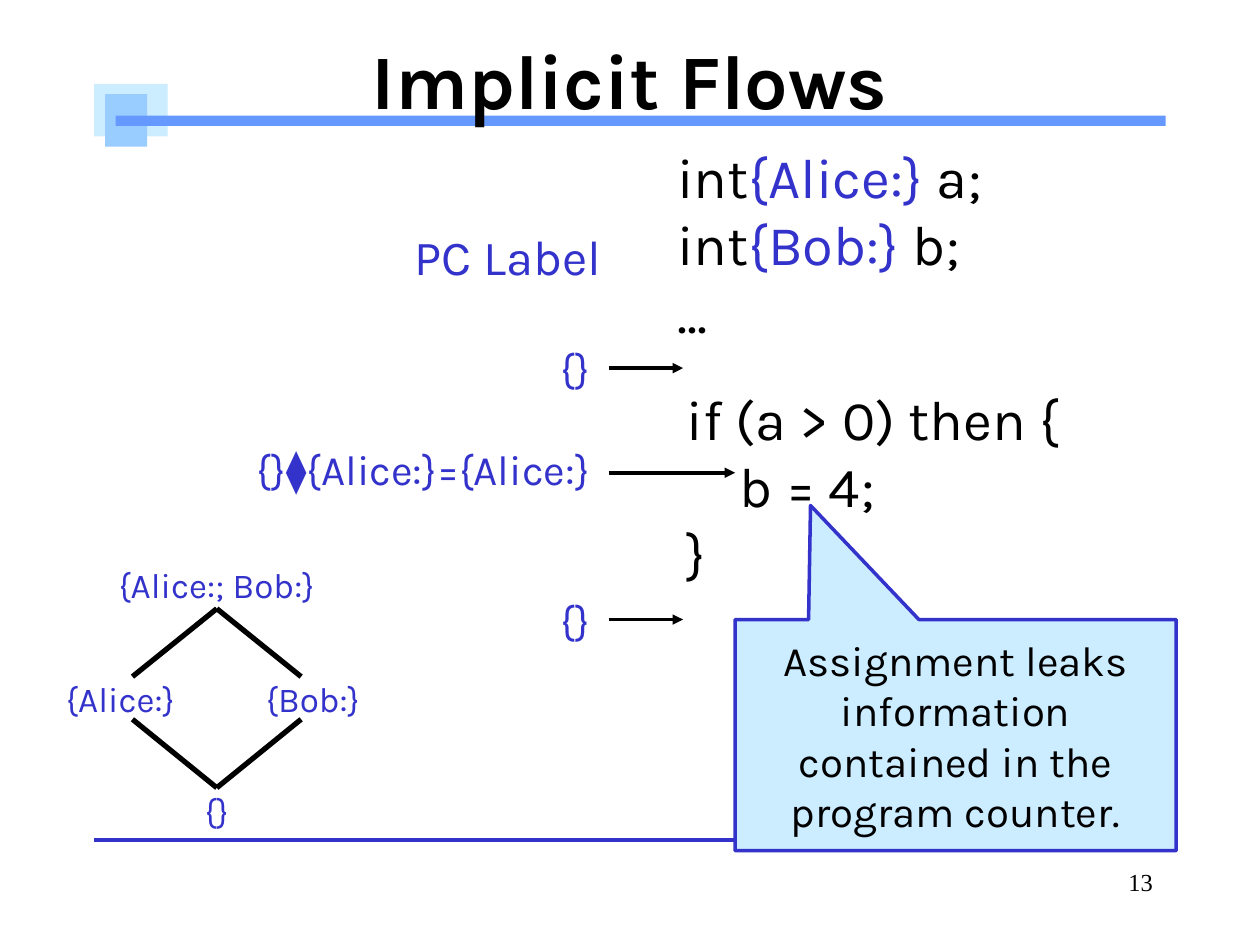
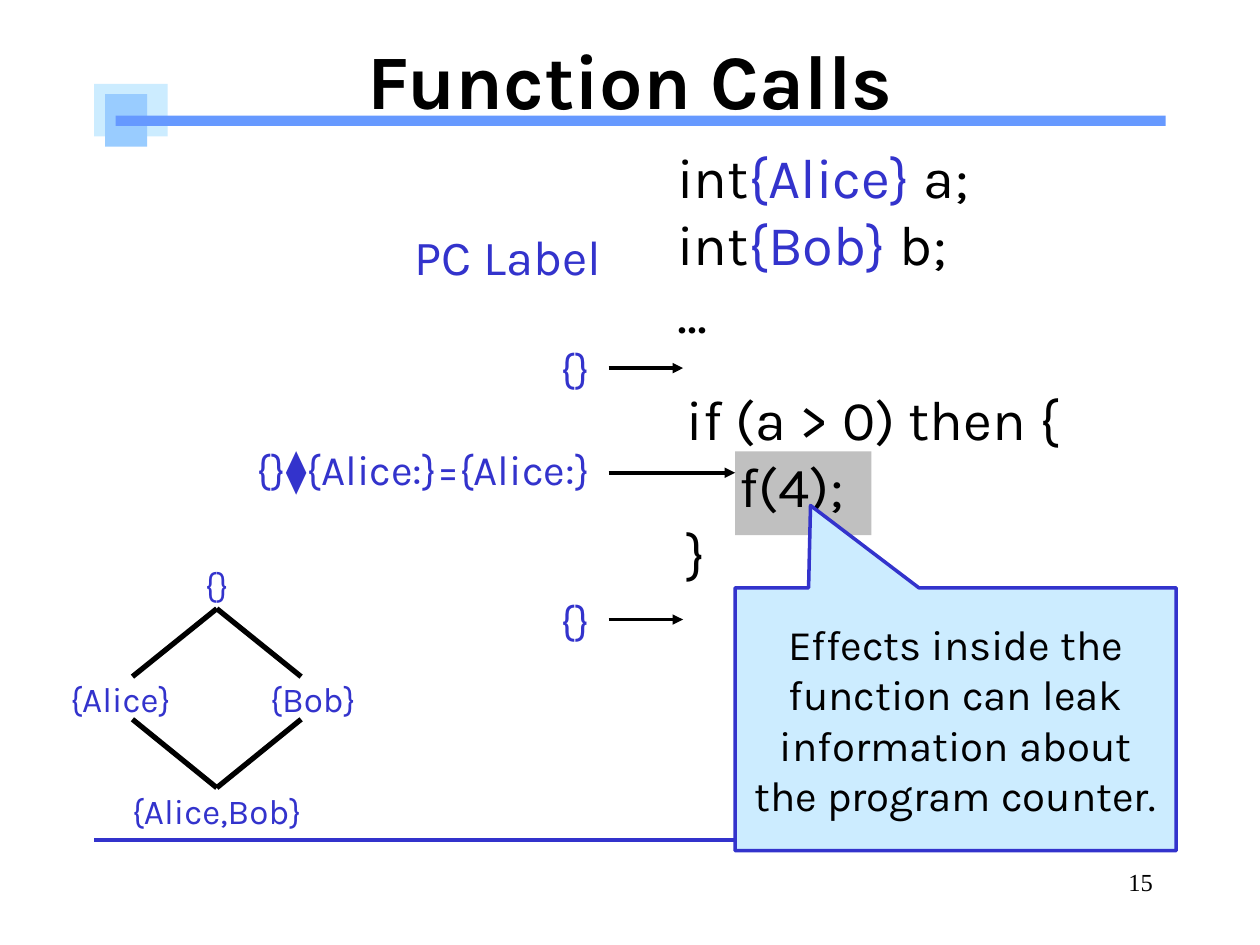
from lxml.etree import SubElement
from pptx import Presentation
from pptx.dml.color import RGBColor
from pptx.enum.shapes import MSO_CONNECTOR, MSO_SHAPE
from pptx.enum.text import MSO_ANCHOR, PP_ALIGN
from pptx.oxml.ns import qn
from pptx.util import Cm, Pt

FONT, SERIF = "Karla", "Times New Roman"
BLACK, LABEL_BLUE, PALE = "000000", "3333CC", "CCECFF"
SKY, BAND, HIGHLIGHT = "99CCFF", "6699FF", "C0C0C0"
TITLE_ONLY = 5


def rgb(value):
    return RGBColor.from_string(value)


def style(font, size, color=BLACK, name=FONT, bold=False):
    font.name, font.size, font.bold = name, Pt(size), bold
    font.color.rgb = rgb(color)


def add_box(slide, kind, box, fill, line=None):
    sp = slide.shapes.add_shape(kind, *map(Cm, box))
    sp.shadow.inherit = False
    sp.fill.solid()
    sp.fill.fore_color.rgb = rgb(fill)
    if line:
        sp.line.color.rgb = rgb(line)
        sp.line.width = Pt(2)
    else:
        sp.line.fill.background()
    return sp


def add_line(slide, start, end, color=BLACK, width=2, arrow=False):
    cxn = slide.shapes.add_connector(MSO_CONNECTOR.STRAIGHT, *map(Cm, start + end))
    cxn.line.color.rgb = rgb(color)
    cxn.line.width = Pt(width)
    if arrow:
        SubElement(cxn.line._get_or_add_ln(), qn("a:tailEnd"), type="triangle")
    SubElement(cxn._element.spPr, qn("a:effectLst"))
    return cxn


def add_text(slide, box, lines, size, color=BLACK, align=PP_ALIGN.LEFT, name=FONT):
    """Add a text box; a line is a string or a list of (text, font overrides)."""
    tf = slide.shapes.add_textbox(*map(Cm, box)).text_frame
    tf.word_wrap = True
    for i, line in enumerate(lines):
        p = tf.add_paragraph() if i else tf.paragraphs[0]
        p.alignment = align
        for text, changes in [(line, {})] if isinstance(line, str) else line:
            r = p.add_run()
            r.text = text
            style(r.font, size, **{"color": color, "name": name, **changes})
    return tf


def set_up_layout(layout, slide):
    """Place the title and move the shared band and rules behind it."""
    title = layout.placeholders[0]
    title.left, title.top, title.width, title.height = map(Cm, (1.9, 0, 21.6, 3.17))
    title.text_frame.vertical_anchor = MSO_ANCHOR.MIDDLE
    decor = [
        add_box(slide, MSO_SHAPE.RECTANGLE, (1.9, 1.69, 1.48, 1.06), PALE),
        add_box(slide, MSO_SHAPE.RECTANGLE, (2.12, 1.9, 0.85, 1.06), SKY),
        add_box(slide, MSO_SHAPE.RECTANGLE, (2.33, 2.33, 21.17, 0.21), BAND),
        add_line(slide, (1.9, 16.93), (23.5, 16.93), LABEL_BLUE),
    ]
    for i, sp in enumerate(decor):
        layout.shapes.element.insert(2 + i, sp._element)


def add_title(slide, text):
    p = slide.shapes.title.text_frame.paragraphs[0]
    p.text = text
    p.alignment = PP_ALIGN.CENTER
    style(p.runs[0].font, 44, bold=True)


def add_code(slide, x, y, labels, statement):
    declarations = [[("int", {}), (label, {"color": LABEL_BLUE}), (f" {var};", {})]
                    for label, var in zip(labels, "ab")]
    add_text(slide, (x, y, 10, 4.32), declarations + ["..."], 32)
    add_text(slide, (x + 0.19, y + 4.87, 10, 4.32),
             ["if (a > 0) then {", f"    {statement}", "}"], 32)


def add_lattice(slide, x, y, top, left, right, bottom):
    w, side_w, h = 6.88, 3, 1.12
    for text, dx, dy, width in ((top, 0, 0, w), (left, 0, 2.31, side_w),
                                (right, w - side_w, 2.31, side_w), (bottom, 0, 4.57, w)):
        add_text(slide, (x + dx, y + dy, width, h), [text], 20, LABEL_BLUE, PP_ALIGN.CENTER)
    cx = x + w / 2
    for side in (-1.7, 1.7):
        for side_y, tip_y in ((2.41, 1.04), (3.27, 4.65)):
            add_line(slide, (cx + side, y + side_y), (cx, y + tip_y), width=3)


def add_pc_labels(slide, x, y):
    """Add the column of program counter labels with arrows into the code."""
    add_text(slide, (x + 4.2, y, 5, 1.4), ["PC Label"], 28, LABEL_BLUE, PP_ALIGN.CENTER)
    joined = [("{}", {}), ("⧫", {"name": SERIF, "bold": True}), ("{Alice:}={Alice:}", {})]
    tf = add_text(slide, (x, y + 2.33, 8.6, 7.37), ["{}", joined, "{}"], 24,
                  LABEL_BLUE, PP_ALIGN.RIGHT)
    for p, gap in zip(tf.paragraphs[1:], (28.8, 57.6)):
        p.space_before = Pt(gap)
    for dy, length in ((2.97, 1.5), (5.08, 2.55), (8.04, 1.5)):
        start = (x + 8.73, y + dy)
        add_line(slide, start, (start[0] + length, start[1]), arrow=True)


def add_callout(slide, top, text):
    """Add a callout with a fixed bottom edge, pointing at the statement."""
    x, w, bottom = 14.82, 8.89, 17.15
    tip_x, tip_y = 16.34, 10.19
    h = bottom - top
    sp = add_box(slide, MSO_SHAPE.RECTANGULAR_CALLOUT, (x, top, w, h), PALE, LABEL_BLUE)
    sp.adjustments[0] = (tip_x - x) / w - 0.5
    sp.adjustments[1] = (tip_y - top) / h - 0.5
    tf = sp.text_frame
    tf.word_wrap = True
    tf.vertical_anchor = MSO_ANCHOR.MIDDLE
    p = tf.paragraphs[0]
    p.text = text
    p.alignment = PP_ALIGN.CENTER
    style(p.runs[0].font, 24)


def add_flow_slide(slide, title, number, labels, statement, lattice, callout_top,
                   callout, highlight=False):
    if highlight:
        add_box(slide, MSO_SHAPE.RECTANGLE, (14.82, 9.1, 2.75, 1.69), HIGHLIGHT)
    add_title(slide, title)
    add_code(slide, 13.4, 2.75, labels, statement)
    add_lattice(slide, 0.93, 11.23, *lattice)
    add_pc_labels(slide, 3.54, 4.45)
    add_callout(slide, callout_top, callout)
    add_text(slide, (18.21, 17.35, 5.28, 1.27), [number], 14, align=PP_ALIGN.RIGHT, name=SERIF)


def main():
    prs = Presentation()
    prs.slide_width, prs.slide_height = Cm(25.4), Cm(19.05)
    layout = prs.slide_layouts[TITLE_ONLY]
    flows, calls = [prs.slides.add_slide(layout) for _ in range(2)]
    set_up_layout(layout, flows)
    add_flow_slide(flows, "Implicit Flows", "13", ("{Alice:}", "{Bob:}"), "b = 4;",
                   ("{Alice:; Bob:}", "{Alice:}", "{Bob:}", "{}"), 12.49,
                   "Assignment leaks information contained in the program counter.")
    add_flow_slide(calls, "Function Calls", "15", ("{Alice}", "{Bob}"), "f(4);",
                   ("{}", "{Alice}", "{Bob}", "{Alice,Bob}"), 11.85,
                   "Effects inside the function can leak information about "
                   "the program counter.", highlight=True)
    prs.save("out.pptx")


if __name__ == "__main__":
    main()
